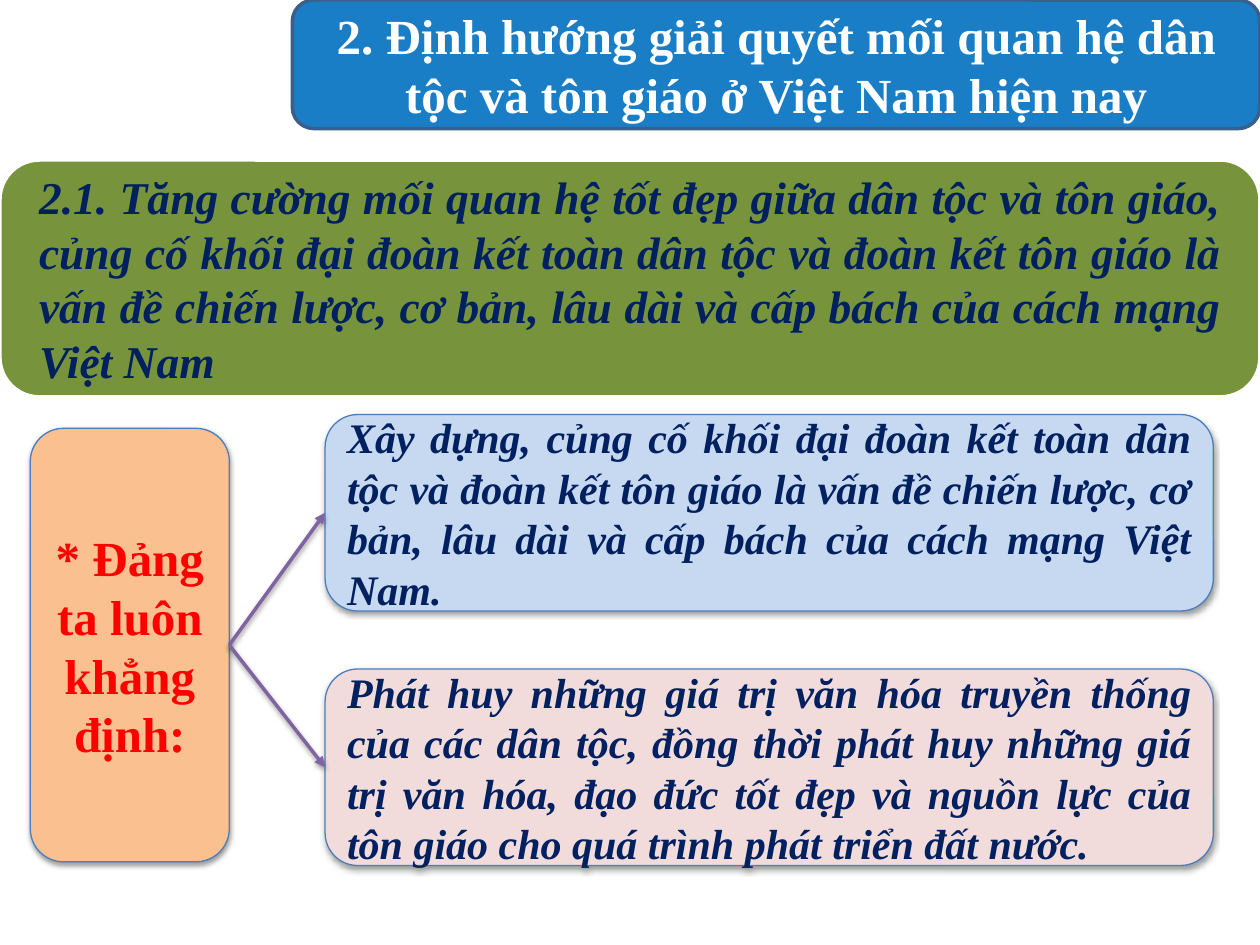
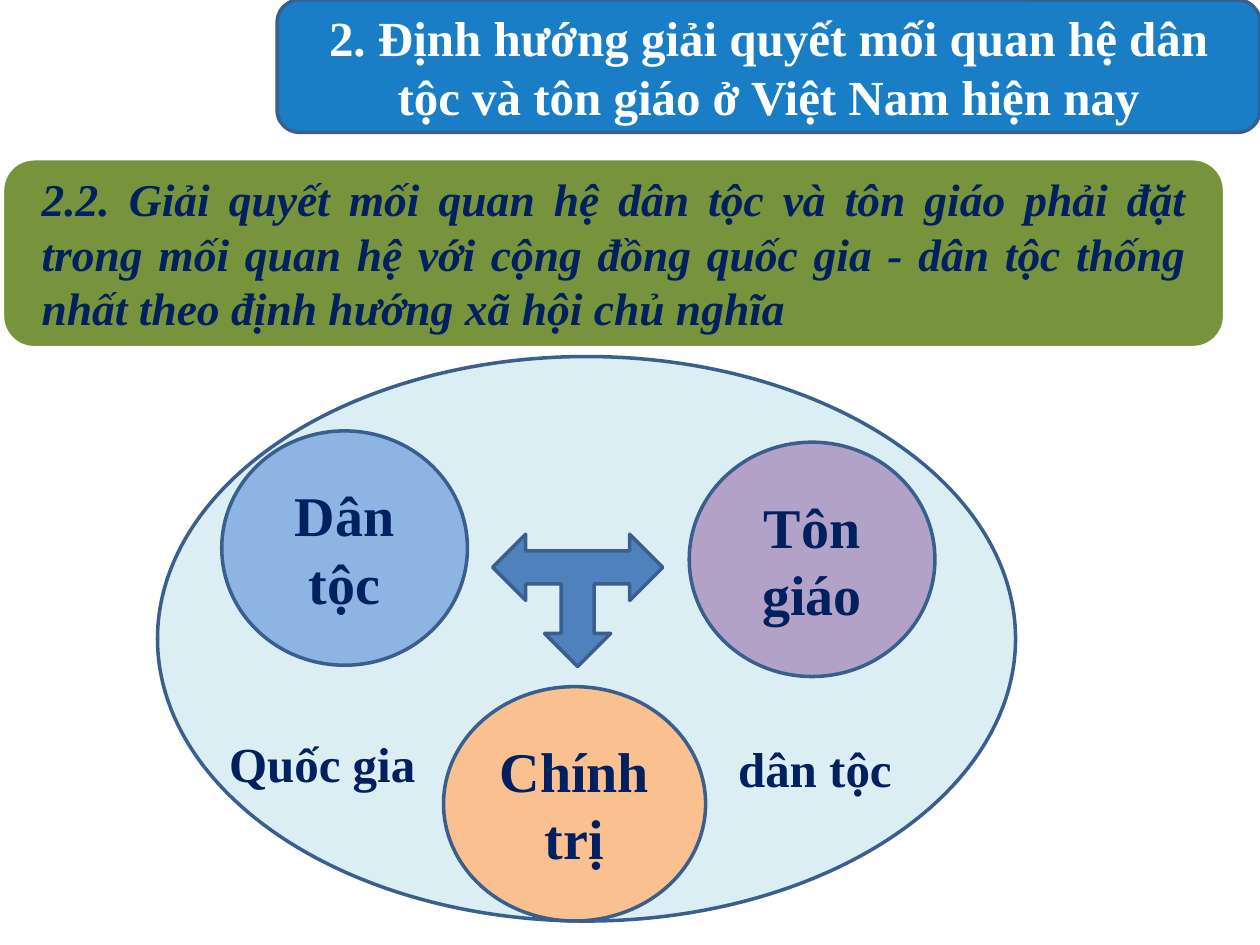
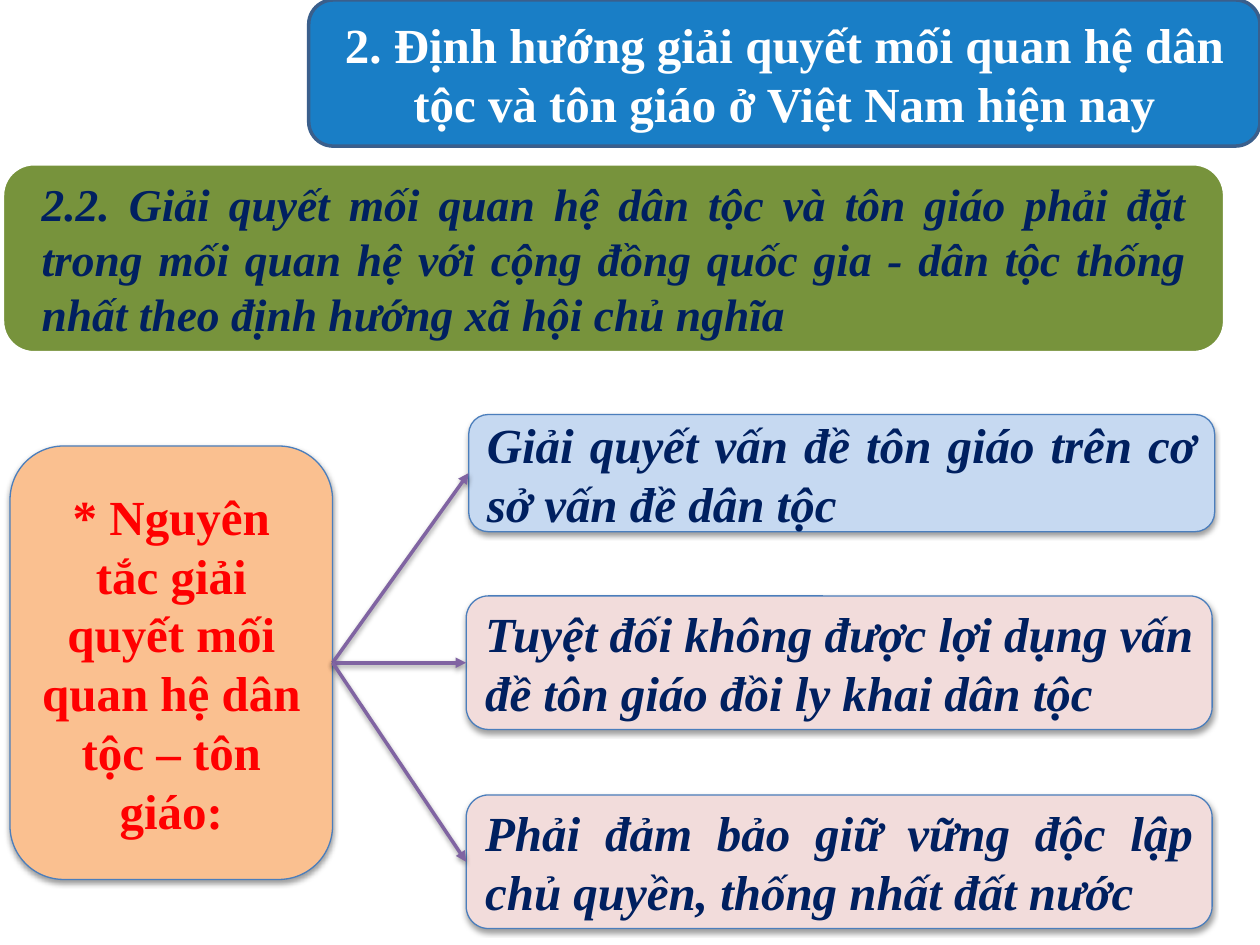
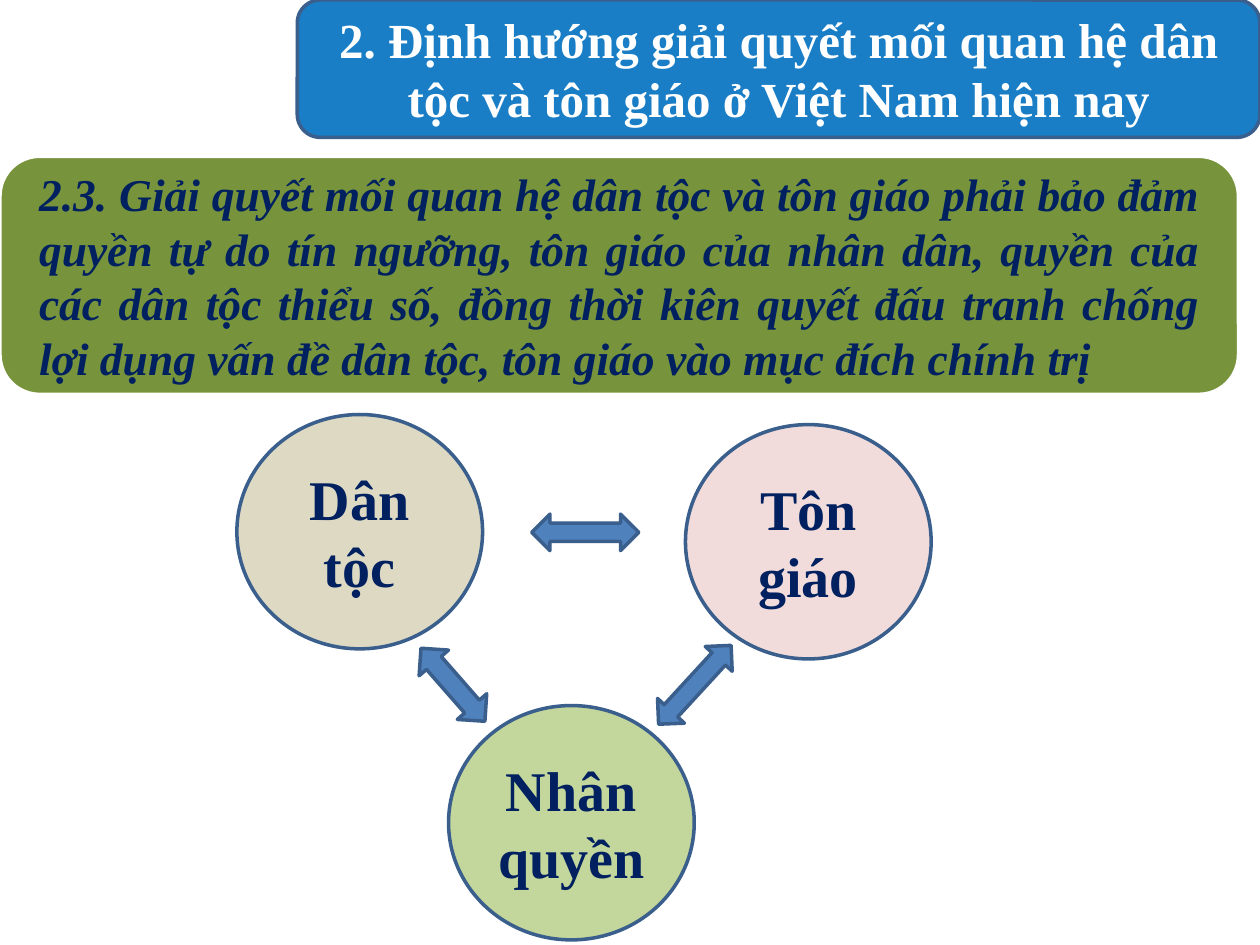
from dataclasses import dataclass

from lxml.etree import SubElement
from pptx import Presentation
from pptx.dml.color import RGBColor
from pptx.enum.shapes import MSO_CONNECTOR as Connector, MSO_SHAPE as Shape
from pptx.enum.text import MSO_ANCHOR as Anchor, MSO_AUTO_SIZE as AutoSize, PP_ALIGN as Align
from pptx.oxml.ns import qn
from pptx.util import Inches, Pt


@dataclass(frozen=True)
class Theme:
    font: str = "Times New Roman"
    heading_fill: str = "0070C0"
    heading_alpha: int = 90000
    band_fill: str = "77933C"
    white: str = "FFFFFF"
    ink: str = "002060"
    red: str = "FF0000"
    outline: str = "3A5F8C"
    card_outline: str = "4B7EBC"
    connector: str = "8064A2"
    arrow: str = "4F81BD"
    orange: str = "FAC090"
    pale_blue: str = "C6D9F1"
    pink: str = "F2DCDB"
    aqua: str = "DBEEF4"
    blue: str = "8EB4E3"
    purple: str = "B3A2C7"
    tan: str = "DDD9C3"
    green: str = "C3D69B"
    heading_size: int = 28
    band_size: int = 26
    circle_size: int = 32
    line_width: float = 2
    card_line_width: float = 0.75


THEME = Theme()
HEADING = "2. Định hướng giải quyết mối quan hệ dân tộc và tôn giáo ở Việt Nam hiện nay"
BAND_UNITY = (
    "2.1. Tăng cường mối quan hệ tốt đẹp giữa dân tộc và tôn giáo, củng cố khối đại đoàn kết "
    "toàn dân tộc và đoàn kết tôn giáo là vấn đề chiến lược, cơ bản, lâu dài và cấp bách của "
    "cách mạng Việt Nam"
)
BAND_NATION = (
    "2.2. Giải quyết mối quan hệ dân tộc và tôn giáo phải đặt trong mối quan hệ với cộng đồng "
    "quốc gia - dân tộc thống nhất theo định hướng xã hội chủ nghĩa"
)
BAND_RIGHTS = (
    "2.3. Giải quyết mối quan hệ dân tộc và tôn giáo phải bảo đảm quyền tự do tín ngưỡng, tôn "
    "giáo của nhân dân, quyền của các dân tộc thiểu số, đồng thời kiên quyết đấu tranh chống "
    "lợi dụng vấn đề dân tộc, tôn giáo vào mục đích chính trị"
)

SLIDES = [
    {
        "heading": (2.32, 1.02),
        "band": (BAND_UNITY, (0, 1.27, 10, 1.88)),
        "topic": ("* Đảng ta luôn khẳng định:", (0.24, 3.4, 1.58, 3.44)),
        "card_size": 24,
        "cards": [
            ("Xây dựng, củng cố khối đại đoàn kết toàn dân tộc và đoàn kết tôn giáo là vấn đề "
             "chiến lược, cơ bản, lâu dài và cấp bách của cách mạng Việt Nam.",
             (2.58, 3.29, 7.05, 1.56), THEME.pale_blue),
            ("Phát huy những giá trị văn hóa truyền thống của các dân tộc, đồng thời phát huy "
             "những giá trị văn hóa, đạo đức tốt đẹp và nguồn lực của tôn giáo cho quá trình "
             "phát triển đất nước.",
             (2.58, 5.31, 7.05, 1.56), THEME.pink),
        ],
    },
    {
        "heading": (2.2, 1.05),
        "backdrop": (1.25, 2.83, 6.81, 4.48),
        "band": (BAND_NATION, (0.02, 1.26, 9.7, 1.5)),
        "circles": [
            ("Dân tộc", (1.76, 3.42, 1.95, 1.86), THEME.blue),
            ("Tôn giáo", (5.47, 3.51, 1.95, 1.86), THEME.purple),
            ("Chính trị", (3.52, 5.45, 2.08, 1.86), THEME.orange),
        ],
        "arrows": [(Shape.LEFT_RIGHT_UP_ARROW, (3.91, 4.24, 1.35, 1.05), 0, True)],
        "labels": [
            ("Quốc gia", (1.22, 5.54, 2.2, 0.73)),
            ("dân tộc", (5.26, 5.58, 1.94, 0.81)),
        ],
    },
    {
        "heading": (2.45, 1.16),
        "band": (BAND_NATION, (0.02, 1.3, 9.7, 1.5)),
        "topic": ("* Nguyên tắc giải quyết mối quan hệ dân tộc – tôn giáo:",
                  (0.08, 3.54, 2.56, 3.44)),
        "card_size": 28,
        "cards": [
            ("Giải quyết vấn đề tôn giáo trên cơ sở vấn đề dân tộc",
             (3.72, 3.29, 5.92, 0.93), THEME.pale_blue),
            ("Tuyệt đối không được lợi dụng vấn đề tôn giáo đồi ly khai dân tộc",
             (3.7, 4.73, 5.92, 1.06), THEME.pink),
            ("Phải đảm bảo giữ vững độc lập chủ quyền, thống nhất đất nước",
             (3.7, 6.31, 5.92, 1.06), THEME.pink),
        ],
    },
    {
        "heading": (2.36, 1.09),
        "band": (BAND_RIGHTS, (0, 1.24, 9.83, 1.89)),
        "circles": [
            ("Dân tộc", (1.88, 3.29, 1.95, 1.86), THEME.tan),
            ("Tôn giáo", (5.44, 3.37, 1.95, 1.86), THEME.pink),
            ("Nhân quyền", (3.56, 5.6, 1.95, 1.86), THEME.green),
        ],
        "arrows": [
            (Shape.LEFT_RIGHT_ARROW, (4.22, 4.08, 0.85, 0.29), 0, False),
            (Shape.LEFT_RIGHT_ARROW, (3.21, 5.28, 0.77, 0.31), 48.8, False),
            (Shape.LEFT_RIGHT_ARROW, (5.09, 5.29, 0.85, 0.29), 312.6, False),
        ],
    },
]


def color(value):
    return RGBColor.from_string(value)


def add_shadow(shape):
    properties = shape._element.spPr
    for effects in properties.findall(qn("a:effectLst")):
        properties.remove(effects)
    effects = SubElement(properties, qn("a:effectLst"))
    shadow = SubElement(effects, qn("a:outerShdw"), blurRad=str(Pt(3.1)), dist=str(Pt(1.6)),
                        dir="5400000", rotWithShape="0")
    tint = SubElement(shadow, qn("a:srgbClr"), val="000000")
    SubElement(tint, qn("a:alpha"), val="38000")


def add_figure(shapes, kind, box, fill, line=THEME.outline, width=THEME.line_width):
    shape = shapes.add_shape(kind, *map(Inches, box))
    shape.shadow.inherit = False
    shape.fill.solid()
    shape.fill.fore_color.rgb = color(fill)
    shape.line.color.rgb = color(line)
    shape.line.width = Pt(width)
    return shape


def write(shape, text, size, ink=THEME.ink, align=Align.CENTER, italic=False):
    frame = shape.text_frame
    frame.word_wrap = True
    frame.vertical_anchor = Anchor.MIDDLE
    paragraph = frame.paragraphs[0]
    paragraph.text = text
    paragraph.alignment = align
    font = paragraph.font
    font.name = THEME.font
    font.size = Pt(size)
    font.bold = True
    font.italic = italic
    font.color.rgb = color(ink)
    return paragraph


def add_heading(slide, left, height):
    shape = add_figure(slide.shapes, Shape.ROUNDED_RECTANGLE, (left, 0, 10 - left, height),
                       THEME.heading_fill)
    tint = shape._element.spPr.find(qn("a:solidFill"))[0]
    SubElement(tint, qn("a:alpha"), val=str(THEME.heading_alpha))
    write(shape, HEADING, THEME.heading_size, THEME.white)


def add_band(slide, text, box):
    left, top, width, height = box
    shapes = slide.shapes.add_group_shape().shapes
    add_figure(shapes, Shape.ROUNDED_RECTANGLE, box, THEME.band_fill, THEME.white)
    inset = height * 0.048
    text_box = shapes.add_textbox(Inches(left + 0.07), Inches(top + inset),
                                  Inches(width - 0.13), Inches(height - 2 * inset))
    write(text_box, text, THEME.band_size, align=Align.JUSTIFY, italic=True)
    frame = text_box.text_frame
    frame.margin_left = frame.margin_right = Inches(0.24)
    frame.margin_top = frame.margin_bottom = 0


def add_card(slide, box, fill):
    card = add_figure(slide.shapes, Shape.ROUNDED_RECTANGLE, box, fill,
                      THEME.card_outline, THEME.card_line_width)
    add_shadow(card)
    return card


def add_branch(slide, topic, card):
    branch = slide.shapes.add_connector(Connector.STRAIGHT, 0, 0, 0, 0)
    branch.begin_connect(topic, 3)
    branch.end_connect(card, 1)
    branch.line.color.rgb = color(THEME.connector)
    branch.line.width = Pt(THEME.line_width)
    SubElement(branch.line._get_or_add_ln(), qn("a:tailEnd"), type="triangle")
    add_shadow(branch)


def add_topic_tree(slide, topic, cards, size):
    text, box = topic
    root = add_card(slide, box, THEME.orange)
    write(root, text, THEME.heading_size, THEME.red)
    for text, box, fill in cards:
        card = add_card(slide, box, fill)
        write(card, text, size, align=Align.JUSTIFY, italic=True)
        add_branch(slide, root, card)


def add_arrow(slide, kind, box, rotation, flipped):
    arrow = add_figure(slide.shapes, kind, box, THEME.arrow)
    arrow.rotation = rotation
    if flipped:
        arrow._element.spPr.xfrm.set("flipV", "1")


def add_label(slide, text, box):
    label = slide.shapes.add_textbox(*map(Inches, box))
    paragraph = write(label, text, THEME.heading_size, align=Align.JUSTIFY)
    paragraph.line_spacing = 1.5
    paragraph.space_after = Pt(6)
    paragraph._p.get_or_add_pPr().set("indent", str(Inches(0.5)))
    frame = label.text_frame
    frame.word_wrap = False
    frame.vertical_anchor = Anchor.TOP
    frame.auto_size = AutoSize.SHAPE_TO_FIT_TEXT


def build_slide(presentation, content):
    slide = presentation.slides.add_slide(presentation.slide_layouts[6])
    if "backdrop" in content:
        add_figure(slide.shapes, Shape.OVAL, content["backdrop"], THEME.aqua)
    add_band(slide, *content["band"])
    add_heading(slide, *content["heading"])
    if "topic" in content:
        add_topic_tree(slide, content["topic"], content["cards"], content["card_size"])
    for text, box, fill in content.get("circles", []):
        write(add_figure(slide.shapes, Shape.OVAL, box, fill), text, THEME.circle_size)
    for arrow in content.get("arrows", []):
        add_arrow(slide, *arrow)
    for label in content.get("labels", []):
        add_label(slide, *label)


def main():
    presentation = Presentation()
    presentation.slide_width = Inches(10)
    presentation.slide_height = Inches(7.5)
    for content in SLIDES:
        build_slide(presentation, content)
    presentation.save("out.pptx")


if __name__ == "__main__":
    main()
